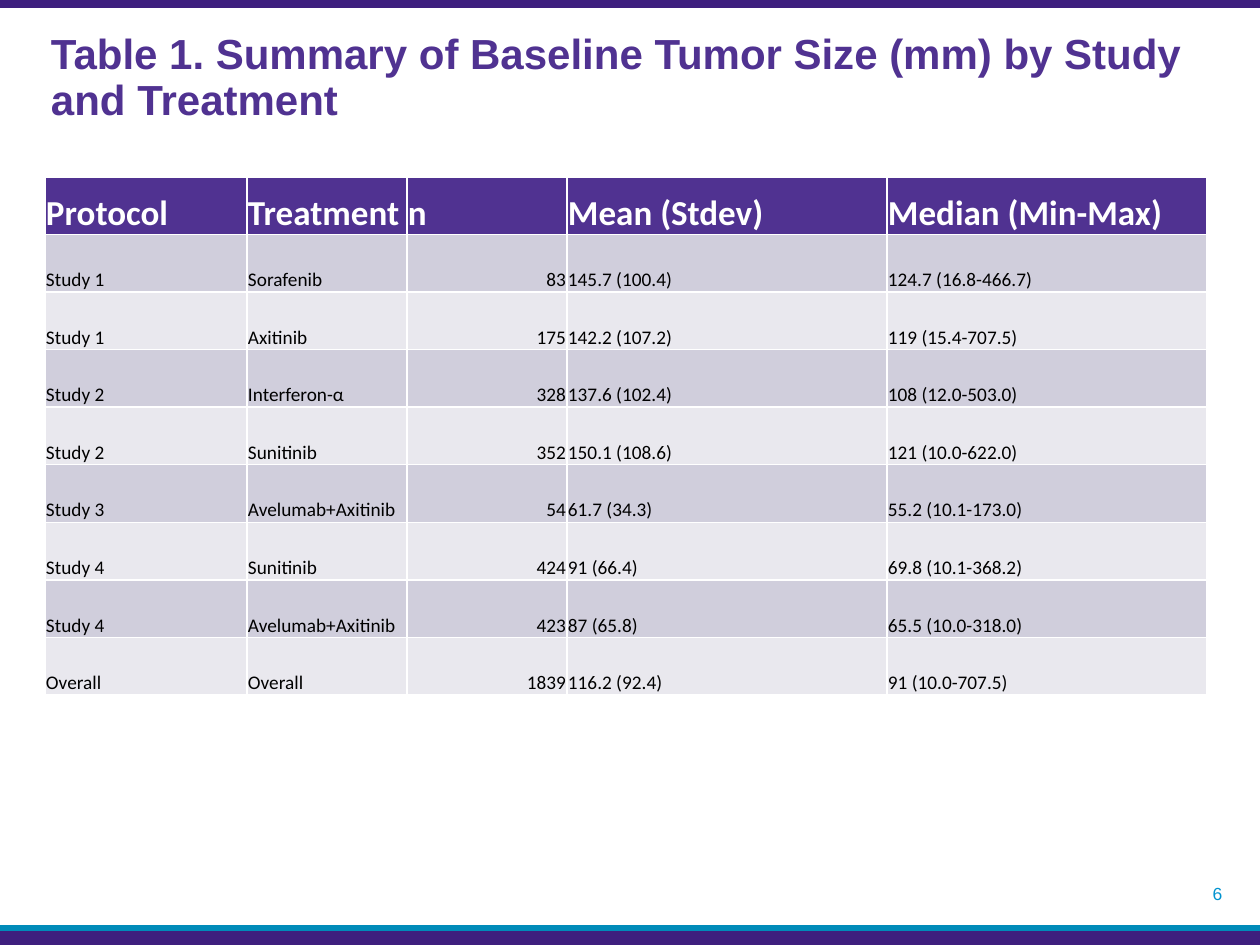
from pptx import Presentation
from pptx.dml.color import RGBColor
from pptx.enum.shapes import MSO_SHAPE
from pptx.enum.text import MSO_ANCHOR, PP_ALIGN
from pptx.util import Pt

RECT = MSO_SHAPE.RECTANGLE
MIDDLE, BOTTOM = MSO_ANCHOR.MIDDLE, MSO_ANCHOR.BOTTOM
LEFT, CENTER, RIGHT = PP_ALIGN.LEFT, PP_ALIGN.CENTER, PP_ALIGN.RIGHT

COLORS = {
    "bar": "3E1F7E",
    "line": "008BB9",
    "number": "0093CF",
    "head": "503291",
    "odd": "D0CEDC",
    "even": "E9E8EE",
    "white": "FFFFFF",
    "black": "000000",
}
WIDE, HIGH = 1260, 945
COLS = [202, 160, 160, 320, 320]
ROWS = [
    ("Protocol", "Treatment", "n", "Mean (Stdev)", "Median (Min-Max)"),
    ("Study 1", "Sorafenib", "83", "145.7 (100.4)", "124.7 (16.8-466.7)"),
    ("Study 1", "Axitinib", "175", "142.2 (107.2)", "119 (15.4-707.5)"),
    ("Study 2", "Interferon-α", "328", "137.6 (102.4)", "108 (12.0-503.0)"),
    ("Study 2", "Sunitinib", "352", "150.1 (108.6)", "121 (10.0-622.0)"),
    ("Study 3", "Avelumab+Axitinib", "54", "61.7 (34.3)", "55.2 (10.1-173.0)"),
    ("Study 4", "Sunitinib", "424", "91 (66.4)", "69.8 (10.1-368.2)"),
    ("Study 4", "Avelumab+Axitinib", "423", "87 (65.8)", "65.5 (10.0-318.0)"),
    ("Overall", "Overall", "1839", "116.2 (92.4)", "91 (10.0-707.5)"),
]


def px(n):
    return round(n * 914400 / 126)


def color(name):
    return RGBColor.from_string(COLORS[name])


class Deck:
    def __init__(self):
        self.prs = Presentation()
        self.prs.slide_width, self.prs.slide_height = px(WIDE), px(HIGH)
        self.slide = self.prs.slides.add_slide(self.prs.slide_layouts[5])
        self.shapes = self.slide.shapes

    def label(self, frame, text, size, tint, font="Arial", bold=False, align=LEFT):
        """Set the text of a frame, format it and return its paragraph."""
        frame.text = text
        par = frame.paragraphs[0]
        par.alignment = align
        style = par.runs[0].font
        style.name, style.size, style.bold = font, Pt(size), bold
        style.color.rgb = color(tint)
        return par

    def inset(self, box, side, low):
        box.margin_left = box.margin_right = box.margin_top = px(side)
        box.margin_bottom = px(low)

    def bar(self, top, high, tint):
        bar = self.shapes.add_shape(RECT, 0, px(top), px(WIDE), px(high))
        bar.shadow.inherit = False
        bar.fill.solid()
        bar.fill.fore_color.rgb = color(tint)
        bar.line.fill.background()

    def title(self, text, *place):
        box = self.shapes.title
        box.left, box.top, box.width, box.height = map(px, place)
        frame = box.text_frame
        frame.word_wrap = True
        frame.vertical_anchor = MIDDLE
        self.inset(frame, 6, 6)
        self.label(frame, text, 24, "head", bold=True).line_spacing = 0.9

    def number(self, text, *place):
        frame = self.shapes.add_textbox(*map(px, place)).text_frame
        frame.word_wrap = True
        frame.vertical_anchor = MIDDLE
        self.inset(frame, 0, 0)
        self.label(frame, text, 10, "number", align=CENTER)

    def cell(self, cell, text, head, fill, align):
        cell.fill.solid()
        cell.fill.fore_color.rgb = color(fill)
        cell.vertical_anchor = BOTTOM
        self.inset(cell, 1, 0)
        size, tint = (20, "white") if head else (11, "black")
        self.label(cell.text_frame, text, size, tint, "Calibri", head, align)

    def table(self, rows, cols, left, top, high):
        grid = self.shapes.add_table(
            len(rows), len(cols), px(left), px(top), px(sum(cols)), px(high)
        ).table
        for col, wide in zip(grid.columns, cols):
            col.width = px(wide)
        for r, row in enumerate(rows):
            head = r == 0
            fill = "head" if head else "odd" if r % 2 else "even"
            for c, text in enumerate(row):
                align = RIGHT if text.isdigit() else LEFT
                self.cell(grid.cell(r, c), text, head, fill, align)


def main():
    deck = Deck()
    deck.bar(930, 29, "bar")
    deck.bar(925, 6, "line")
    deck.bar(0, 8, "bar")
    deck.number("6", 1202, 872, 31, 43)
    deck.title(
        "Table 1. Summary of Baseline Tumor Size (mm) by Study and Treatment",
        45, 36, 1173, 86,
    )
    deck.table(ROWS, COLS, 45, 177, 518)
    deck.prs.save("out.pptx")


if __name__ == "__main__":
    main()
